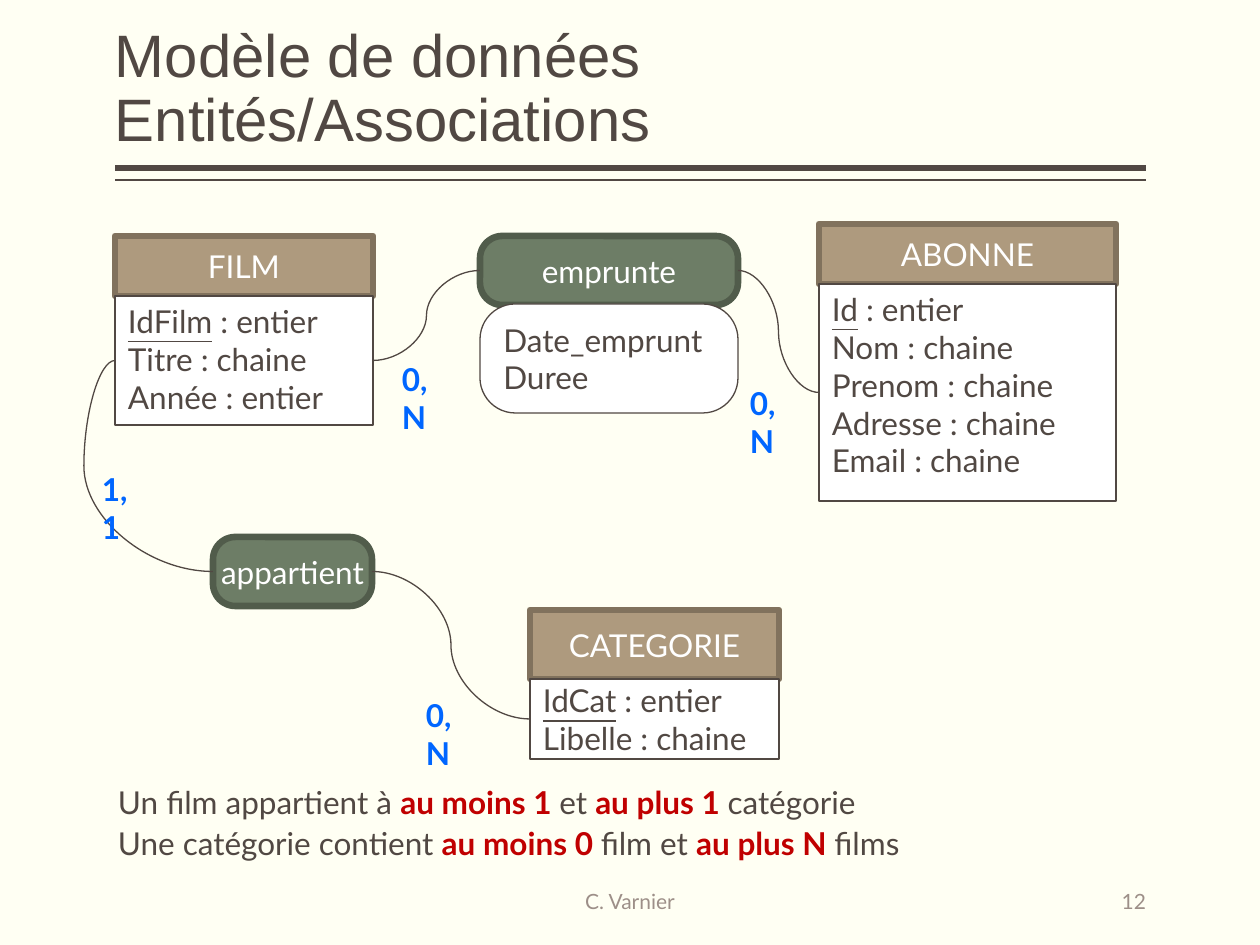
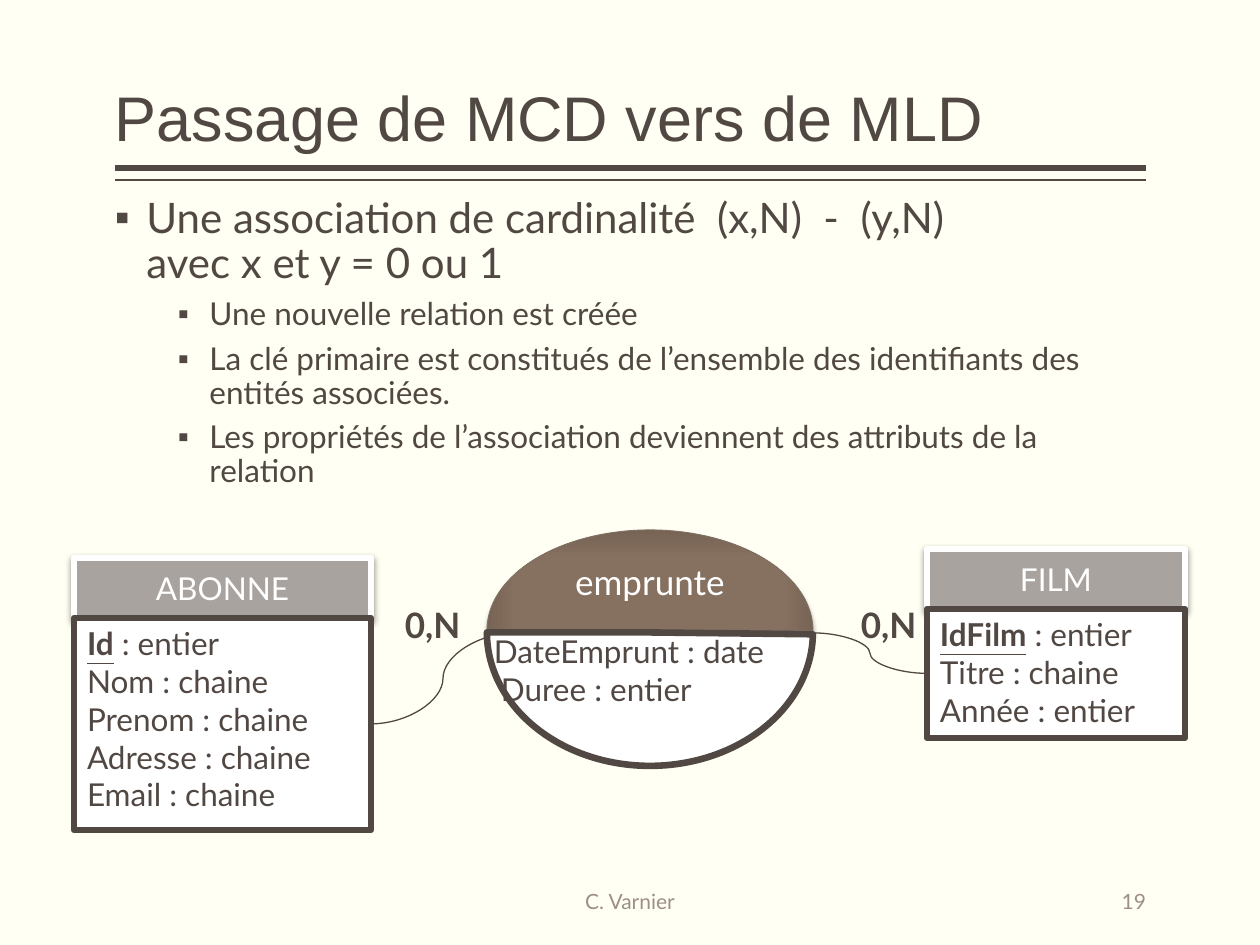
from lxml.etree import SubElement
from pptx import Presentation
from pptx.dml.color import RGBColor
from pptx.enum.shapes import MSO_CONNECTOR as CONNECTOR, MSO_SHAPE as SHAPE
from pptx.enum.text import MSO_ANCHOR as ANCHOR, MSO_AUTO_SIZE as AUTO_SIZE, PP_ALIGN as ALIGN
from pptx.oxml.ns import qn
from pptx.util import Pt

SCALE = 914400 // 126
FONT = "Lato"
TITLE_FONT = "Arial"
COLORS = {
    "background": "FFFFF3", "text": "514843", "footer": "9D8F88",
    "white": "FFFFFF", "black": "000000",
    "entity": "AE9A7E", "entity_edge": "81725D", "grey": "A8A39E",
    "association": "6D7D66", "association_edge": "515C4B", "arc_edge": "806F63",
    "cardinality": "0066FF", "emphasis": "C00000",
}
ARC_STOPS = [(0, "877161"), (71, "867060"), (100, "776455")]
COLORS = {name: RGBColor.from_string(value) for name, value in COLORS.items()}


def write(shape, lines, color="text", size=18, align=ALIGN.LEFT, anchor=ANCHOR.TOP,
          margin=13, bold=None, marked_bold=None, marked_underline=None, marked_color=None):
    frame = shape.text_frame
    frame.word_wrap = align != ALIGN.CENTER
    frame.vertical_anchor = anchor
    frame.margin_left = frame.margin_right = margin * SCALE
    for index, line in enumerate(lines):
        paragraph = frame.paragraphs[0] if index == 0 else frame.add_paragraph()
        paragraph.alignment = align
        for position, piece in enumerate(line.split("*")):
            if not piece:
                continue
            run = paragraph.add_run()
            run.text = piece
            marked = position % 2 == 1
            run.font.name = FONT
            run.font.size = Pt(size)
            run.font.bold = marked_bold if marked else bold
            run.font.underline = marked_underline if marked else None
            run.font.color.rgb = COLORS[marked_color if marked and marked_color else color]


def add_box(slide, kind, box, fill, edge, weight, shadow_blur=0):
    shape = slide.shapes.add_shape(kind, *(value * SCALE for value in box))
    shape.fill.solid()
    shape.fill.fore_color.rgb = COLORS[fill]
    shape.line.color.rgb = COLORS[edge]
    shape.line.width = Pt(weight)
    shape.shadow.inherit = False
    if shadow_blur:
        effects = shape._element.spPr.find(qn("a:effectLst"))
        shadow = SubElement(effects, qn("a:outerShdw"), blurRad=str(Pt(shadow_blur)),
                            dist=str(Pt(2)), dir="5400000", rotWithShape="0")
        tint = SubElement(shadow, qn("a:srgbClr"), val=str(COLORS["black"]))
        SubElement(tint, qn("a:alpha"), val="38000")
    return shape


presentation = Presentation()
presentation.slide_width = 1260 * SCALE
presentation.slide_height = 945 * SCALE
background = presentation.slide_master.background.fill
background.solid()
background.fore_color.rgb = COLORS["background"]

slides = []
for layout, title_text, title_size, number in [
    (5, "Modèle de données\vEntités/Associations", 34.2, "12"),
    (1, "Passage de MCD vers de MLD", 36, "19"),
]:
    slide = presentation.slides.add_slide(presentation.slide_layouts[layout])
    slides.append(slide)
    title = slide.shapes.title
    title.left, title.top, title.width, title.height = (v * SCALE for v in (115, 10, 1031, 151))
    frame = title.text_frame
    frame.text = title_text
    frame.auto_size = AUTO_SIZE.NONE
    frame.vertical_anchor = ANCHOR.BOTTOM
    frame.margin_left = frame.margin_right = 0
    paragraph = frame.paragraphs[0]
    paragraph.alignment = ALIGN.LEFT
    paragraph.line_spacing = 0.9
    for run in paragraph.runs:
        run.font.name = TITLE_FONT
        run.font.size = Pt(title_size)
        run.font.color.rgb = COLORS["text"]
    for y, weight in [(168, 3), (180, 1)]:
        rule = slide.shapes.add_connector(
            CONNECTOR.STRAIGHT, 1146 * SCALE, y * SCALE, 115 * SCALE, y * SCALE)
        rule.line.color.rgb = COLORS["text"]
        rule.line.width = Pt(weight)
        SubElement(rule._element.spPr, qn("a:effectLst"))
    for text, left, width, align in [
        ("C. Varnier", 303, 654, ALIGN.CENTER), (number, 957, 189, ALIGN.RIGHT),
    ]:
        footer = slide.shapes.add_textbox(left * SCALE, 876 * SCALE, width * SCALE, 50 * SCALE)
        write(footer, [text], "footer", 12, align, ANCHOR.MIDDLE, margin=0)
model_slide, mapping_slide = slides

body = mapping_slide.placeholders[1]
body.left, body.top, body.width, body.height = (v * SCALE for v in (115, 191, 1031, 659))
frame = body.text_frame
frame.auto_size = AUTO_SIZE.NONE
frame.margin_left = frame.margin_right = 0
for index, (text, level) in enumerate([
    ("Une association de cardinalité  (x,N)  -  (y,N)\vavec x et y = 0 ou 1", 0),
    ("Une nouvelle relation est créée", 1),
    ("La clé primaire est constitués de l’ensemble des identifiants des entités associées.", 1),
    ("Les propriétés de l’association deviennent des attributs de la relation", 1),
]):
    paragraph = frame.paragraphs[0] if index == 0 else frame.add_paragraph()
    paragraph.text = text
    paragraph.level = level
    paragraph.line_spacing = 0.9
    paragraph.space_before = Pt(6 if level else 18)
    properties = paragraph._p.get_or_add_pPr()
    properties.set("marL", str(685800 if level else 228600))
    properties.set("indent", "-228600")
    SubElement(properties, qn("a:buChar"), char="▪")
    for run in paragraph.runs:
        run.font.name = FONT
        run.font.size = Pt(18 if level else 24)
        run.font.color.rgb = COLORS["text"]

film = ["*IdFilm* : entier", "Titre : chaine", "Année : entier"]
abonne = ["*Id* : entier", "Nom : chaine", "Prenom : chaine", "Adresse : chaine", "Email : chaine"]
categorie = ["*IdCat* : entier", "Libelle : chaine"]
model_style = ("entity", "entity_edge", 3.78, 0)
mapping_style = ("grey", "white", 3.82, 3.5)
model_entities = {}
mapping_entities = {}
for slide, name, fields, left, top, width, head, height, anchor in [
    (model_slide, "CATEGORIE", categorie, 530, 610, 249, 69, 80, ANCHOR.MIDDLE),
    (model_slide, "FILM", film, 115, 236, 258, 60, 129, ANCHOR.TOP),
    (model_slide, "ABONNE", abonne, 819, 224, 297, 60, 217, ANCHOR.TOP),
    (mapping_slide, "FILM", film, 927, 549, 258, 60, 129, ANCHOR.TOP),
    (mapping_slide, "ABONNE", abonne, 74, 558, 297, 60, 212, ANCHOR.TOP),
]:
    is_model = slide is model_slide
    style = model_style if is_model else mapping_style
    header = add_box(slide, SHAPE.RECTANGLE, (left, top, width, head), *style)
    write(header, [name], "white", align=ALIGN.CENTER, anchor=ANCHOR.MIDDLE)
    details = add_box(slide, SHAPE.RECTANGLE, (left, top + head, width, height),
                      "white", "text", 0.75 if is_model else 3.78)
    write(details, fields, anchor=anchor, marked_underline=True,
          marked_bold=None if is_model else True)
    entities = model_entities if is_model else mapping_entities
    entities[name] = details

associations = {}
for name, box in [("appartient", (213, 537, 159, 69)), ("emprunte", (480, 236, 258, 69))]:
    association = add_box(model_slide, SHAPE.ROUNDED_RECTANGLE, box,
                          "association", "association_edge", 3.78)
    association.adjustments[0] = 0.324
    write(association, [name], "white", align=ALIGN.CENTER, anchor=ANCHOR.MIDDLE)
    associations[name] = association
loan = add_box(model_slide, SHAPE.ROUNDED_RECTANGLE, (480, 304, 258, 109), "white", "text", 0.75)
loan.adjustments[0] = 0.324
write(loan, ["Date_emprunt", "Duree"], anchor=ANCHOR.MIDDLE)

LEFT, RIGHT = 1, 3
for slide, start, start_site, end, bend in [
    (model_slide, model_entities["FILM"], LEFT, (associations["appartient"], LEFT), -31700),
    (model_slide, associations["appartient"], RIGHT, (model_entities["CATEGORIE"], LEFT), 50000),
    (model_slide, model_entities["ABONNE"], LEFT, (associations["emprunte"], RIGHT), 50000),
    (model_slide, associations["emprunte"], LEFT, (model_entities["FILM"], RIGHT), 50000),
    (mapping_slide, mapping_entities["FILM"], LEFT, (813, 633), 50000),
    (mapping_slide, mapping_entities["ABONNE"], RIGHT, (515, 633), 50000),
]:
    link = slide.shapes.add_connector(CONNECTOR.CURVE, 0, 0, 0, 0)
    link.begin_connect(start, start_site)
    if slide is model_slide:
        link.end_connect(*end)
    else:
        link.end_x, link.end_y = (value * SCALE for value in end)
    link.line.color.rgb = COLORS["text"]
    link.line.width = Pt(0.75)
    properties = link._element.spPr
    SubElement(properties, qn("a:effectLst"))
    guides = properties.find(qn("a:prstGeom")).find(qn("a:avLst"))
    SubElement(guides, qn("a:gd"), name="adj1", fmla=f"val {bend}")

for slide, text, left, top, width, color, size in [
    (model_slide, "0,N", 737, 378, 73, "cardinality", 18),
    (model_slide, "0,N", 389, 354, 73, "cardinality", 18),
    (model_slide, "0,N", 413, 690, 73, "cardinality", 18),
    (model_slide, "1,1", 89, 464, 62, "cardinality", 18),
    (mapping_slide, "0,N", 392, 597, 86, "text", 20),
    (mapping_slide, "0,N", 848, 597, 86, "text", 20),
]:
    label = slide.shapes.add_textbox(left * SCALE, top * SCALE, width * SCALE, 50 * SCALE)
    write(label, [text], color, size, bold=True)

for text, top in [
    ("Un film appartient à *au moins 1 *et *au plus 1 *catégorie", 777),
    ("Une catégorie contient *au moins 0 *film et *au plus N *films", 818),
]:
    sentence = model_slide.shapes.add_textbox(105 * SCALE, top * SCALE, 950 * SCALE, 50 * SCALE)
    write(sentence, [text], marked_bold=True, marked_color="emphasis")

upper = add_box(mapping_slide, SHAPE.BLOCK_ARC, (487, 530, 326, 201),
                "entity", "arc_edge", 0.5, 3.1)
lower = add_box(mapping_slide, SHAPE.BLOCK_ARC, (487, 499, 326, 267), "white", "text", 3.78)
for arc, angles in [(upper, (107.655, 216)), (lower, (0.397, 107.999))]:
    arc.adjustments[0], arc.adjustments[1] = angles
    arc.adjustments[2] = 0.5
upper.fill.gradient()
gradient = upper._element.spPr.find(qn("a:gradFill"))
gradient.clear()
stops = SubElement(gradient, qn("a:gsLst"))
for position, color in ARC_STOPS:
    stop = SubElement(stops, qn("a:gs"), pos=str(position * 1000))
    SubElement(stop, qn("a:srgbClr"), val=color)
center = SubElement(gradient, qn("a:path"), path="rect")
SubElement(center, qn("a:fillToRect"), l="50000", t="50000", r="50000", b="50000")
write(upper, ["emprunte"], "white", 20, ALIGN.CENTER, ANCHOR.MIDDLE)
write(lower, ["DateEmprunt : date", "Duree : entier"], margin=0)
lower.text_frame.margin_top = lower.text_frame.margin_bottom = 0
for paragraph, indent in zip(lower.text_frame.paragraphs, (7, 14)):
    paragraph._p.get_or_add_pPr().set("marL", str(indent * SCALE))

presentation.save("out.pptx")
